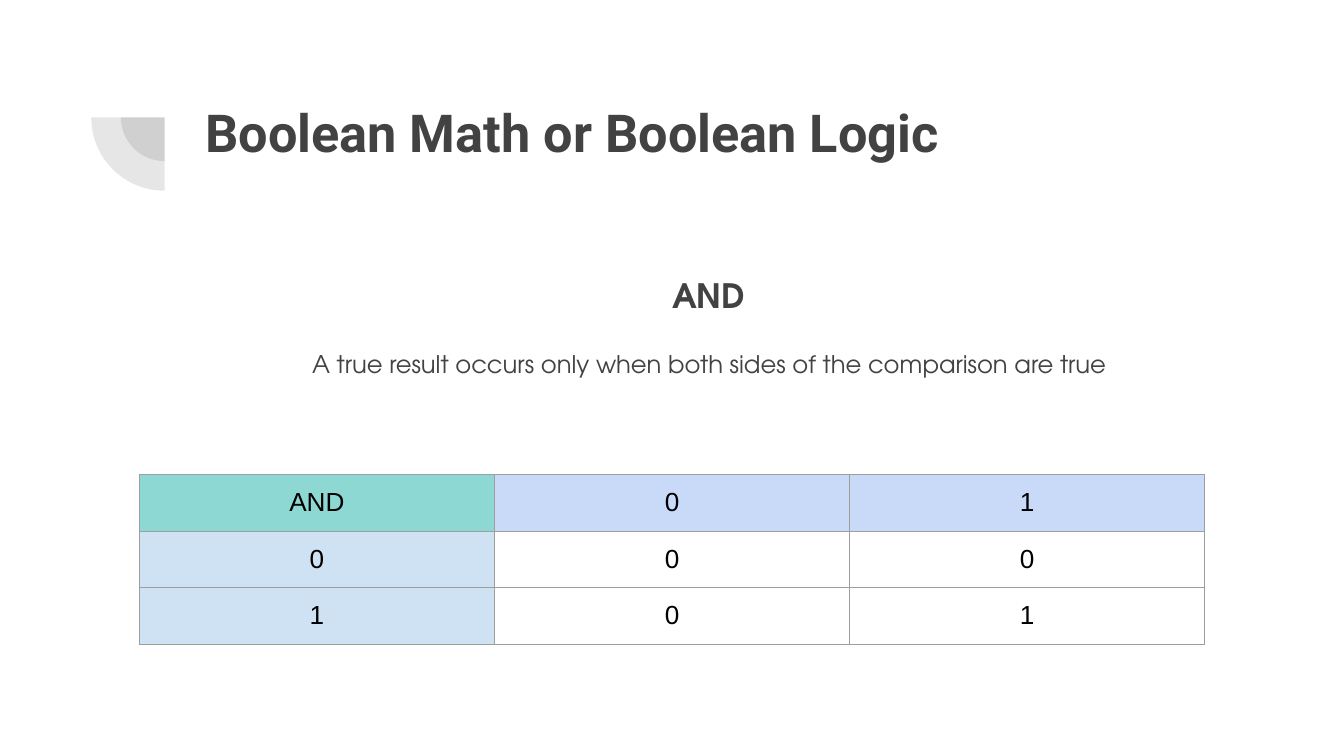
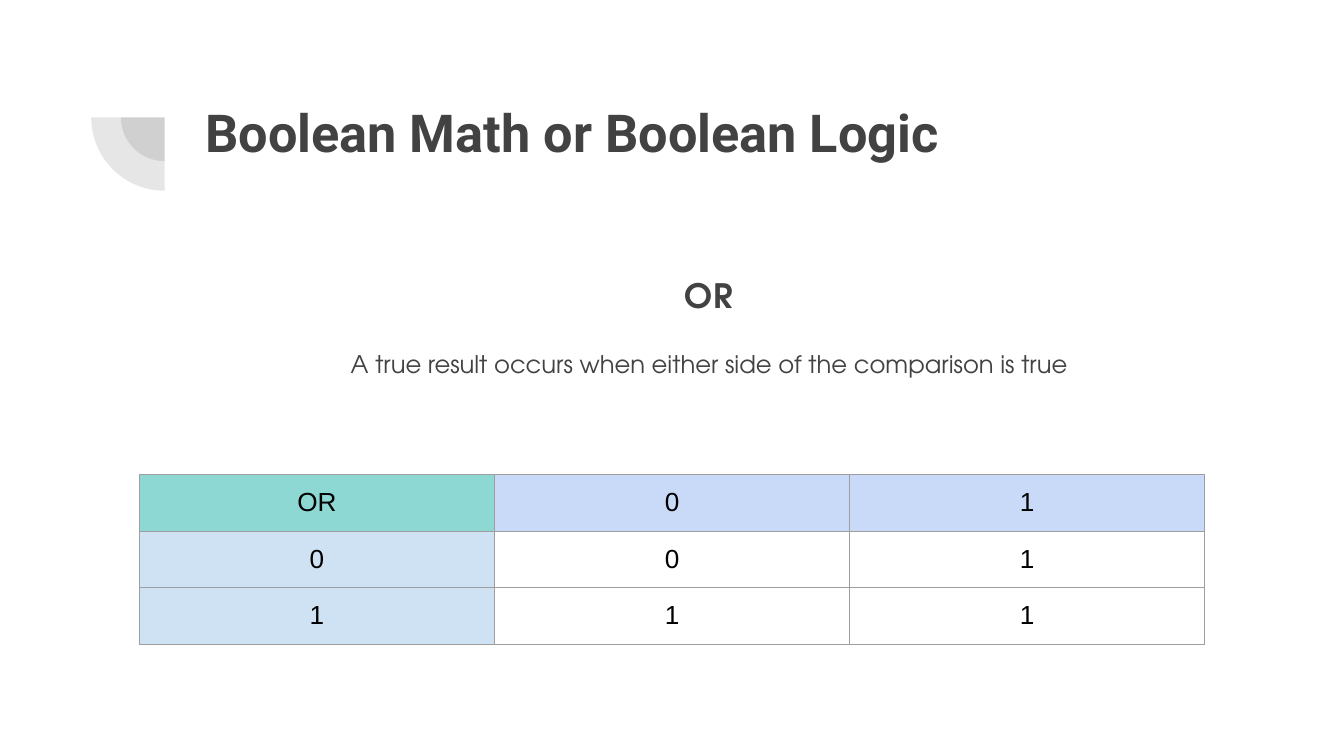
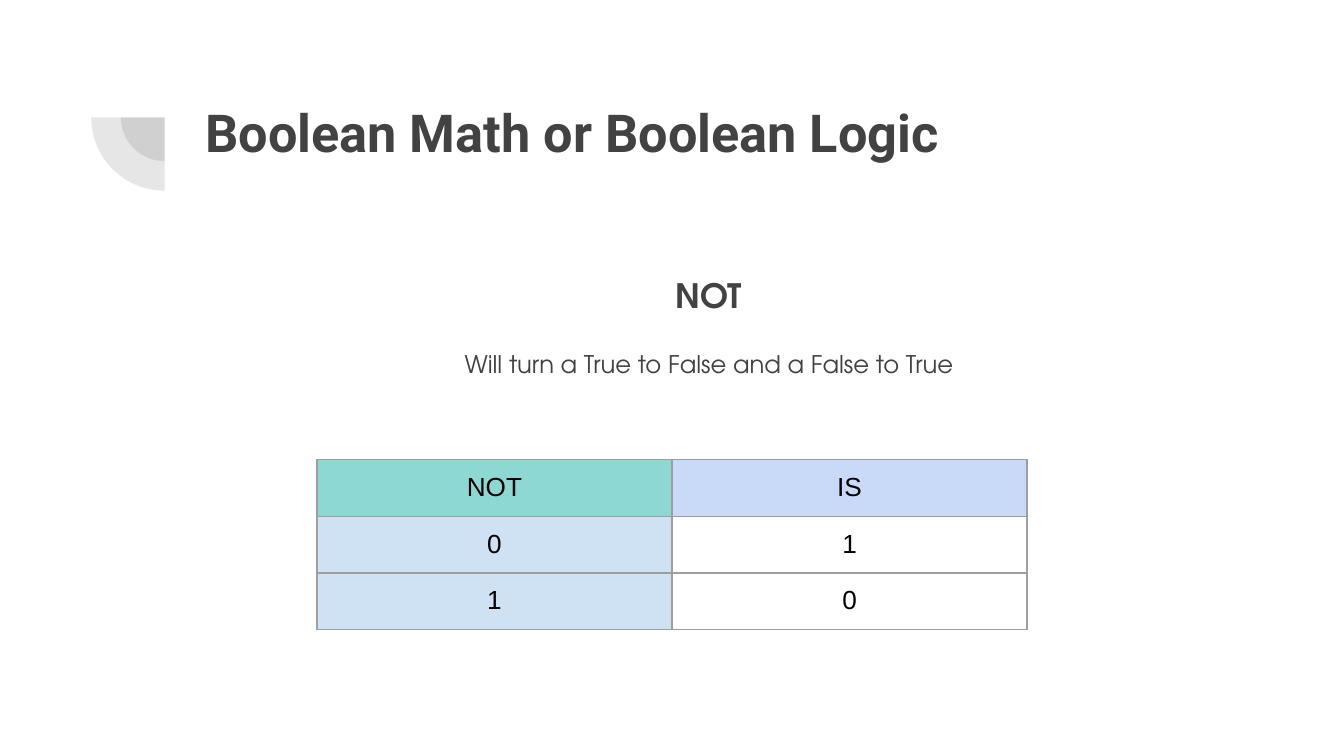
from dataclasses import dataclass

from lxml import etree
from pptx import Presentation
from pptx.dml.color import RGBColor
from pptx.enum.shapes import MSO_SHAPE
from pptx.enum.text import MSO_ANCHOR, MSO_AUTO_SIZE, PP_ALIGN
from pptx.oxml.ns import qn
from pptx.util import Cm, Pt

PIE = MSO_SHAPE.PIE
TOP = MSO_ANCHOR.TOP
NO_FIT = MSO_AUTO_SIZE.NONE
LEFT, CENTER = PP_ALIGN.LEFT, PP_ALIGN.CENTER
TITLE_ONLY = 5


@dataclass(frozen=True)
class Theme:
    ink: str = "424242"
    cell_text: str = "000000"
    border: str = "9E9E9E"
    corner: str = "8DD8D3"
    header_row: str = "C9DAF8"
    header_column: str = "CFE2F3"
    title_font: str = "Roboto"
    body_font: str = "TeX Gyre Adventor"
    table_font: str = "Arial"
    title_size: float = 28
    operator_size: float = 18
    body_size: float = 13
    table_size: float = 14
    border_width: float = 0.75
    ornament_alpha: int = 13


THEME = Theme()
SLIDE_W, SLIDE_H = Cm(25.4), Cm(14.29)
TEXT_LEFT, TEXT_W = Cm(3.63), Cm(19.53)
INSET = Cm(0.25)
COLUMN_W, ROW_H = Cm(6.71), Cm(1.07)
ORNAMENT_X, ORNAMENT_Y = Cm(3.11), Cm(2.22)
ORNAMENT_DIAMETERS = (Cm(1.65), Cm(2.77))

TITLE = "Boolean Math or Boolean Logic"
OPERATORS = [
    ("AND", "A true result occurs only when both sides of the comparison are true",
     ["AND 0 1", "0 0 0", "1 0 1"], Cm(8.97)),
    ("OR", "A true result occurs when either side of the comparison is true",
     ["OR 0 1", "0 0 1", "1 1 1"], Cm(8.97)),
    ("NOT", "Will turn a True to False and a False to True",
     ["NOT IS", "0 1", "1 0"], Cm(8.69)),
]


def set_font(p, name, size, color, bold=False):
    p.font.name = name
    p.font.size = Pt(size)
    p.font.bold = bold
    p.font.color.rgb = RGBColor.from_string(color)


def set_insets(box):
    box.margin_left = box.margin_right = INSET
    box.margin_top = box.margin_bottom = INSET


def format_frame(tf):
    tf.word_wrap = True
    tf.auto_size = NO_FIT
    tf.vertical_anchor = TOP
    set_insets(tf)


def add_ornament(slide):
    for diameter in ORNAMENT_DIAMETERS:
        sp = slide.shapes.add_shape(
            PIE, ORNAMENT_X - diameter // 2, ORNAMENT_Y - diameter // 2,
            diameter, diameter)
        sp.adjustments[0] = 108
        sp.adjustments[1] = 162
        sp.rotation = 270
        sp.shadow.inherit = False
        sp.line.fill.background()
        sp.fill.solid()
        sp.fill.fore_color.rgb = RGBColor.from_string(THEME.ink)
        color = sp._element.spPr.find(qn("a:solidFill"))[0]
        etree.SubElement(color, qn("a:alpha"),
                         val=str(THEME.ornament_alpha * 1000))


def set_title(slide, text):
    sp = slide.shapes.title
    sp.left, sp.top, sp.width, sp.height = TEXT_LEFT, Cm(1.65), TEXT_W, Cm(2.77)
    sp.text = text
    format_frame(sp.text_frame)
    p = sp.text_frame.paragraphs[0]
    p.alignment = LEFT
    set_font(p, THEME.title_font, THEME.title_size, THEME.ink, bold=True)


def add_definition(slide, operator, meaning):
    tf = slide.shapes.add_textbox(TEXT_LEFT, Cm(4.83), TEXT_W, Cm(3.28)).text_frame
    format_frame(tf)
    heading, body = tf.paragraphs[0], tf.add_paragraph()
    heading.text, body.text = operator, meaning
    for p in (heading, body):
        p.alignment = CENTER
        p.line_spacing = 1.15
    body.space_before = body.space_after = Pt(16)
    set_font(heading, THEME.body_font, THEME.operator_size, THEME.ink, bold=True)
    set_font(body, THEME.body_font, THEME.body_size, THEME.ink)


def add_borders(cell):
    tc_pr = cell._tc.get_or_add_tcPr()
    for side in ("L", "R", "T", "B"):
        ln = etree.SubElement(tc_pr, qn(f"a:ln{side}"),
                              w=str(Pt(THEME.border_width)))
        fill = etree.SubElement(ln, qn("a:solidFill"))
        etree.SubElement(fill, qn("a:srgbClr"), val=THEME.border)


def cell_color(row, column):
    if row == 0:
        return THEME.header_row if column else THEME.corner
    return None if column else THEME.header_column


def format_cell(cell, text, color):
    cell.text = text
    set_insets(cell)
    add_borders(cell)
    if color:
        cell.fill.solid()
        cell.fill.fore_color.rgb = RGBColor.from_string(color)
    else:
        cell.fill.background()
    p = cell.text_frame.paragraphs[0]
    p.alignment = CENTER
    set_font(p, THEME.table_font, THEME.table_size, THEME.cell_text)


def add_truth_table(slide, lines, top):
    rows = [line.split() for line in lines]
    width = COLUMN_W * len(rows[0])
    table = slide.shapes.add_table(
        len(rows), len(rows[0]), (SLIDE_W - width) // 2, top,
        width, ROW_H * len(rows)).table
    table.first_row = table.horz_banding = False
    for i, row in enumerate(rows):
        for j, text in enumerate(row):
            format_cell(table.cell(i, j), text, cell_color(i, j))


def main():
    prs = Presentation()
    prs.slide_width, prs.slide_height = SLIDE_W, SLIDE_H
    for operator, meaning, lines, table_top in OPERATORS:
        slide = prs.slides.add_slide(prs.slide_layouts[TITLE_ONLY])
        add_ornament(slide)
        set_title(slide, TITLE)
        add_definition(slide, operator, meaning)
        add_truth_table(slide, lines, table_top)
    prs.save("out.pptx")


if __name__ == "__main__":
    main()
